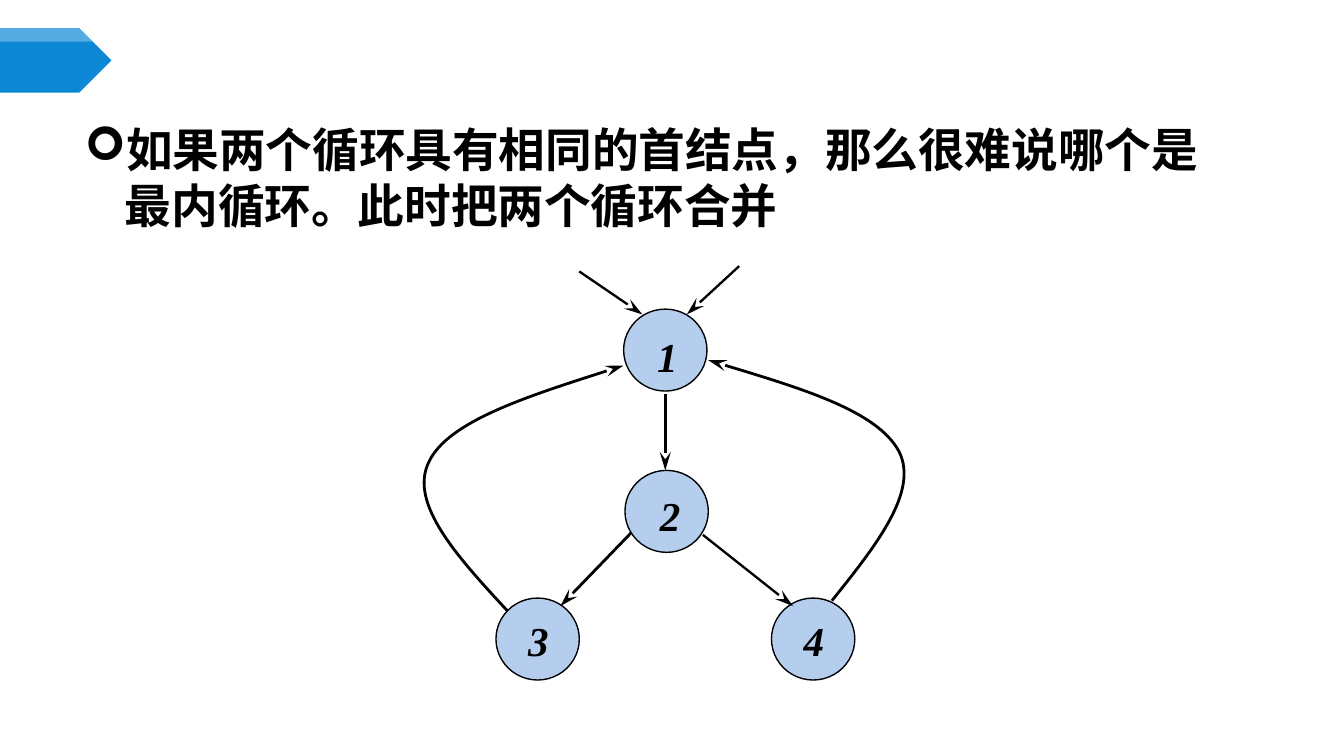
from dataclasses import dataclass
from lxml.etree import SubElement
from pptx import Presentation
from pptx.dml.color import RGBColor
from pptx.enum.shapes import MSO_CONNECTOR, MSO_SHAPE
from pptx.oxml.ns import qn
from pptx.util import Emu, Pt

SCALE = 9144
Point = tuple[int, int]


def px(size: int) -> Emu:
    return Emu(size * SCALE)


@dataclass(frozen=True)
class Theme:
    ink: RGBColor = RGBColor(0, 0, 0)
    white: RGBColor = RGBColor(255, 255, 255)
    blue: RGBColor = RGBColor(0x0B, 0x87, 0xD6)
    disc: RGBColor = RGBColor(0xB5, 0xCE, 0xED)
    serif: str = "Times New Roman"
    sans: str = "Noto Sans CJK SC"
    mark: str = "Wingdings"
    body: int = 25
    label: int = 22
    thin: float = 0.75
    mid: float = 1.25
    bold: float = 1.5


@dataclass(frozen=True)
class Node:
    name: str
    left: int
    top: int
    text_left: int
    text_top: int


@dataclass(frozen=True)
class Arrow:
    tip: Point
    tail: Point
    width: float


THEME = Theme()
NODE_SIZE = (62, 61)
LABEL_SIZE = (27, 44)
NODES = [
    Node("1", 464, 230, 481, 243),
    Node("2", 465, 350, 483, 361),
    Node("3", 369, 445, 385, 454),
    Node("4", 574, 445, 590, 454),
]
UNDER = [
    Arrow((417, 451), (472, 394), THEME.bold),
    Arrow((495, 350), (495, 293), THEME.bold),
]
OVER = [
    Arrow((590, 451), (523, 398), THEME.mid),
    Arrow((478, 234), (431, 202), THEME.mid),
    Arrow((511, 234), (550, 198), THEME.mid),
]
LEFT_LOOP = [(378, 455), (341, 415), (304, 375), (319, 344), (333, 314), (398, 293), (464, 272)]
RIGHT_LOOP = [(619, 447), (651, 407), (684, 366), (669, 336), (653, 306), (590, 287), (527, 268)]
BANNER = [(0, 21), (59, 21), (83, 45), (59, 69), (0, 69)]
SHINE = [(0, 21), (59, 21), (69, 31), (0, 31)]
RUNS = [
    ("如果两个循环具有相同的首", THEME.serif),
    ("结", THEME.sans),
    ("点，那么很难说哪个是最内循环。此时把两个循环合并", THEME.serif),
]


def add_path(slide, points: list[Point], closed: bool):
    pen = slide.shapes.build_freeform(*points[0], scale=SCALE)
    pen.add_line_segments(points[1:], close=closed)
    shape = pen.convert_to_shape()
    shape.shadow.inherit = False
    return shape


def add_panel(slide, points: list[Point], color: RGBColor, alpha: int = 100) -> None:
    shape = add_path(slide, points, True)
    shape.fill.solid()
    shape.fill.fore_color.rgb = color
    shape.line.fill.background()
    if alpha < 100:
        tint = shape.fill._xPr.find(".//" + qn("a:srgbClr"))
        SubElement(tint, qn("a:alpha"), val=str(alpha * 1000))


def set_line(shape, width: float, end: str = "") -> None:
    shape.line.color.rgb = THEME.ink
    shape.line.width = Pt(width)
    if end:
        SubElement(shape.line._get_or_add_ln(), qn(end), type="stealth", w="med", len="lg")


def add_loop(slide, points: list[Point]) -> None:
    shape = add_path(slide, points, False)
    shape.fill.background()
    set_line(shape, THEME.bold, "a:tailEnd")
    path = shape._element.find(".//" + qn("a:path"))
    lines = path.findall(qn("a:lnTo"))
    for start in range(0, len(lines), 3):
        curve = SubElement(path, qn("a:cubicBezTo"))
        for line in lines[start:start + 3]:
            curve.append(line[0])
            path.remove(line)


def add_arrow(slide, arrow: Arrow) -> None:
    ends = [px(part) for part in arrow.tip + arrow.tail]
    line = slide.shapes.add_connector(MSO_CONNECTOR.STRAIGHT, *ends)
    set_line(line, arrow.width, "a:headEnd")
    SubElement(line._element.spPr, qn("a:effectLst"))


def add_frame(slide, left: int, top: int, width: int, height: int):
    frame = slide.shapes.add_textbox(*map(px, (left, top, width, height))).text_frame
    frame.word_wrap = True
    frame.margin_left = frame.margin_right = px(8)
    frame.margin_top = frame.margin_bottom = px(4)
    return frame


def add_run(para, text: str, face: str, size: int, slant: bool = False) -> None:
    run = para.add_run()
    run.text = text
    font = run.font
    font.name = face
    font.size = Pt(size)
    font.bold = True
    font.italic = slant
    font.color.rgb = THEME.ink
    SubElement(font._element, qn("a:ea"), typeface=THEME.sans)


def add_node(slide, node: Node) -> None:
    box = map(px, (node.left, node.top, *NODE_SIZE))
    disc = slide.shapes.add_shape(MSO_SHAPE.OVAL, *box)
    disc.shadow.inherit = False
    disc.fill.solid()
    disc.fill.fore_color.rgb = THEME.disc
    set_line(disc, THEME.thin)


def add_label(slide, node: Node) -> None:
    frame = add_frame(slide, node.text_left, node.text_top, *LABEL_SIZE)
    add_run(frame.paragraphs[0], node.name, THEME.serif, THEME.label, True)


def add_body(slide) -> None:
    para = add_frame(slide, 55, 86, 859, 99).paragraphs[0]
    props = para._p.get_or_add_pPr()
    props.set("marL", str(px(30)))
    props.set("indent", str(px(-30)))
    tint = SubElement(props, qn("a:buClr"))
    SubElement(tint, qn("a:srgbClr"), val=str(THEME.ink))
    SubElement(props, qn("a:buFont"), typeface=THEME.mark)
    SubElement(props, qn("a:buChar"), char="➢")
    for text, face in RUNS:
        add_run(para, text, face, THEME.body)


def main() -> None:
    deck = Presentation()
    deck.slide_width = px(1000)
    deck.slide_height = Emu(deck.slide_width * 9 // 16)
    slide = deck.slides.add_slide(deck.slide_layouts[6])
    add_panel(slide, BANNER, THEME.blue)
    add_panel(slide, SHINE, THEME.white, 30)
    add_body(slide)
    add_loop(slide, LEFT_LOOP)
    for arrow in UNDER:
        add_arrow(slide, arrow)
    for node in NODES:
        add_node(slide, node)
    for arrow in OVER:
        add_arrow(slide, arrow)
    for node in NODES:
        add_label(slide, node)
    add_loop(slide, RIGHT_LOOP)
    deck.save("out.pptx")


if __name__ == "__main__":
    main()
